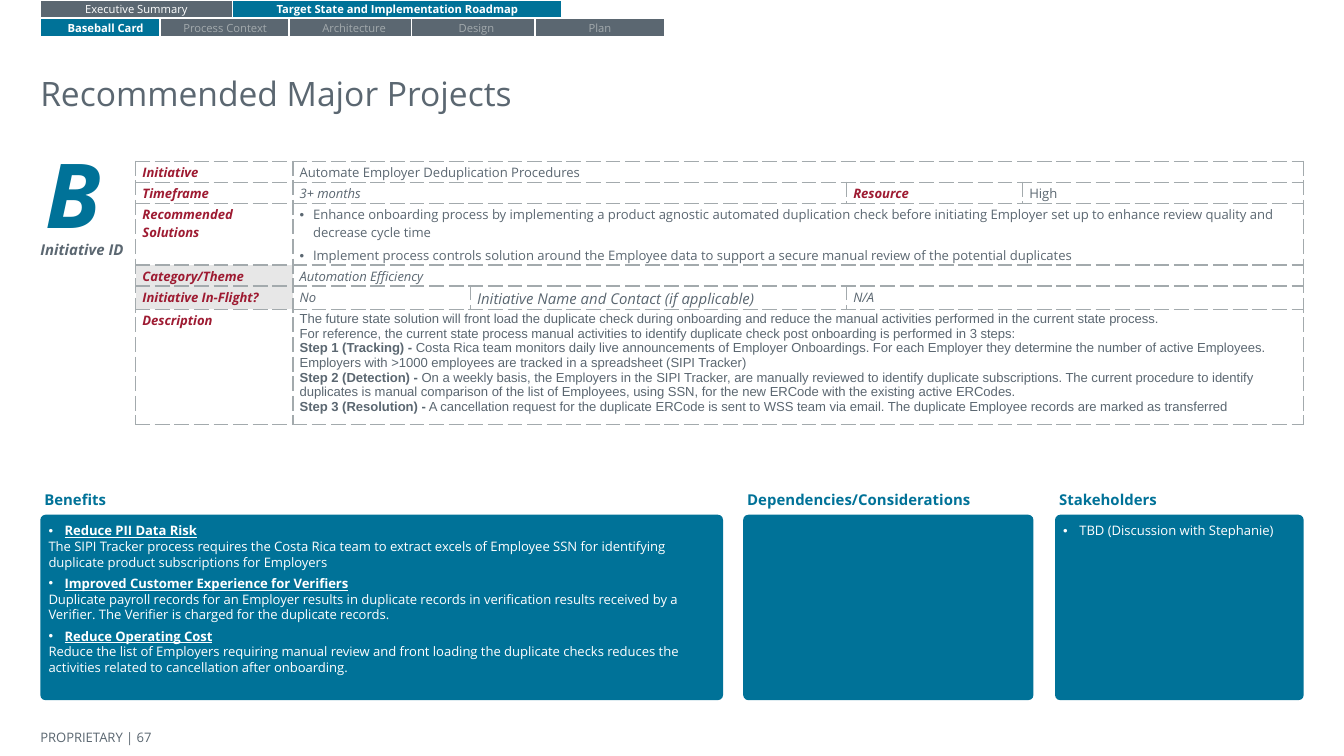
from pptx import Presentation
from pptx.dml.color import RGBColor
from pptx.enum.shapes import MSO_SHAPE
from pptx.enum.text import MSO_ANCHOR, PP_ALIGN
from pptx.oxml import parse_xml
from pptx.oxml.ns import nsdecls
from pptx.util import Inches, Pt

TOP, MID = MSO_ANCHOR.TOP, MSO_ANCHOR.MIDDLE
LEFT, CENTER = PP_ALIGN.LEFT, PP_ALIGN.CENTER
RECT, ROUND = MSO_SHAPE.RECTANGLE, MSO_SHAPE.ROUNDED_RECTANGLE
HEX = {"teal": "007298", "gray": "5B6771", "pale": "A3AAAD",
       "red": "9E1B32", "shade": "E7E7E7", "white": "FFFFFF"}

# Content: tabs are (text, left, width, state)
TABS = [
    (0, [("Executive Summary", 0.3, 1.43, "open"),
         ("Target State and Implementation Roadmap", 1.73, 2.45, "on")]),
    (0.14, [("Baseball Card", 0.3, 0.97, "on"),
            ("Process Context", 1.19, 0.97, "off"),
            ("Architecture", 2.15, 0.97, "off"),
            ("Design", 3.06, 0.97, "off"),
            ("Plan", 3.98, 0.97, "off")]),
]
STATES = {"on": ("teal", "white", True), "open": ("gray", "white", False),
          "off": ("gray", "pale", False)}

# Labels: text, left, top, width, height, size, color, bold, italic, anchor, inset
LABELS = [
    ("PROPRIETARY | 67", 0.3, 5.39, 1.38, 0.19, 7, "gray", False, False, MID, 0),
    ("Recommended Major Projects", 0.3, 0.54, 9.4, 0.5, 18, "gray", False, False, TOP, 0),
    ("B", 0.34, 1.03, 0.58, 0.81, 48, "teal", True, True, MID, 0),
    ("Initiative ID", 0.3, 1.76, 0.65, 0.19, 8, "gray", True, True, MID, 0),
]

# Table cells: column, span, style, paragraphs as (lead, text); rows grow to fit
COLS = [1.17, 1.32, 2.8, 1.31, 2.09]
ROWS = [
    (0.12, [(0, 1, "head", [("", "Initiative")]),
            (1, 4, "plain", [("", "Automate Employer Deduplication Procedures")])]),
    (0.12, [(0, 1, "head", [("", "Timeframe")]),
            (1, 2, "note", [("", "3+ months")]),
            (3, 1, "head", [("", "Resource")]),
            (4, 1, "plain", [("", "High")])]),
    (0.46, [(0, 1, "head", [("", "Recommended Solutions")]),
            (1, 4, "list", [
                ("", "Enhance onboarding process by implementing a product agnostic automated duplication check before initiating Employer set up to enhance review quality and decrease cycle time"),
                ("", "Implement process controls solution around the Employee data to support a secure manual review of the potential duplicates")])]),
    (0.12, [(0, 1, "theme", [("", "Category/Theme")]),
            (1, 4, "note", [("", "Automation Efficiency")])]),
    (0.12, [(0, 1, "theme", [("", "Initiative In-Flight?")]),
            (1, 1, "note", [("", "No")]),
            (2, 1, "ask", [("", "Initiative Name and Contact (if applicable)")]),
            (3, 2, "note", [("", "N/A")])]),
    (0.6, [(0, 1, "head", [("", "Description")]),
           (1, 4, "body", [
               ("", "The future state solution will front load the duplicate check during onboarding and reduce the manual activities performed in the current state process."),
               ("", "For reference, the current state process manual activities to identify duplicate check post onboarding is performed in 3 steps:"),
               ("Step 1 (Tracking) -", " Costa Rica team monitors daily live announcements of Employer Onboardings. For each Employer they determine the number of active Employees. Employers with >1000 employees are tracked in a spreadsheet (SIPI Tracker)"),
               ("Step 2 (Detection) -", " On a weekly basis, the Employers in the SIPI Tracker, are manually reviewed to identify duplicate subscriptions. The current procedure to identify duplicates is manual comparison of the list of Employees, using SSN, for the new ERCode with the existing active ERCodes."),
               ("Step 3 (Resolution) -", " A cancellation request for the duplicate ERCode is sent to WSS team via email. The duplicate Employee records are marked as transferred")])]),
]
# Cell styles: size, color, bold, italic, face, fill
STYLES = {
    "head": (7, "red", True, True, "Open Sans", "white"),
    "theme": (7, "red", True, True, "Open Sans", "shade"),
    "plain": (7, "gray", False, False, "Open Sans", "white"),
    "list": (7, "gray", False, False, "Open Sans", "white"),
    "note": (7, "gray", False, True, "Open Sans", "white"),
    "ask": (8, "gray", False, True, "Open Sans", "white"),
    "body": (7, "gray", False, False, "Arial", "white"),
}

# Cards: title, left, width, points as (kind, text)
CARDS = [
    ("Benefits", 0.3, 5.08, [
        ("topic", "Reduce PII Data Risk"),
        ("text", "The SIPI Tracker process requires the Costa Rica team to extract excels of Employee SSN for identifying duplicate product subscriptions for Employers"),
        ("topic", "Improved Customer Experience for Verifiers"),
        ("text", "Duplicate payroll records for an Employer results in duplicate records in verification results received by a Verifier. The Verifier is charged for the duplicate records."),
        ("topic", "Reduce Operating Cost"),
        ("text", "Reduce the list of Employers requiring manual review and front loading the duplicate checks reduces the activities related to cancellation after onboarding.")]),
    ("Dependencies/Considerations", 5.53, 2.16, []),
    ("Stakeholders", 7.85, 1.85, [("item", "TBD (Discussion with Stephanie)")]),
]


def rgb(name):
    return RGBColor.from_string(HEX[name])


def style(para, size, color, bold=False, italic=False, face="Open Sans"):
    font = para.font
    font.size, font.name = Pt(size), face
    font.bold, font.italic = bold, italic
    font.color.rgb = rgb(color)


def bullet(para, color, indent, hang):
    props = para._p.get_or_add_pPr()
    props.set("marL", str(Inches(indent)))
    props.set("indent", str(-Inches(hang)))
    ns = nsdecls("a")
    props.append(parse_xml(f'<a:buClr {ns}><a:srgbClr val="{HEX[color]}"/></a:buClr>'))
    props.append(parse_xml(f'<a:buFont {ns} typeface="Arial"/>'))
    props.append(parse_xml(f'<a:buChar {ns} char="•"/>'))


def setup(frame, anchor, left, rest):
    frame.word_wrap = True
    frame.vertical_anchor = anchor
    frame.margin_left = Inches(left)
    frame.margin_right = frame.margin_top = frame.margin_bottom = Inches(rest)


def paras(frame, items):
    for i, item in enumerate(items):
        yield i, frame.add_paragraph() if i else frame.paragraphs[0], item


def label(text, x, y, w, h, size, color, bold, italic, anchor, inset):
    frame = slide.shapes.add_textbox(Inches(x), Inches(y), Inches(w), Inches(h)).text_frame
    setup(frame, anchor, inset, 0)
    para = frame.paragraphs[0]
    para.text = text
    style(para, size, color, bold, italic)


def block(kind, x, y, w, h, fill):
    shape = slide.shapes.add_shape(kind, Inches(x), Inches(y), Inches(w), Inches(h))
    shape.shadow.inherit = False
    shape.fill.solid()
    shape.fill.fore_color.rgb = rgb(fill)
    shape.line.fill.background()
    return shape


def border(cell):
    props = cell._tc.get_or_add_tcPr()
    for side in ("lnL", "lnR", "lnT", "lnB"):
        props.append(parse_xml(
            f'<a:{side} {nsdecls("a")} w="{Pt(0.75)}"><a:solidFill><a:srgbClr val="{HEX["pale"]}"/>'
            f'</a:solidFill><a:prstDash val="dash"/></a:{side}>'))


# Widescreen page, 16 to 9
deck = Presentation()
deck.slide_width = Inches(10)
deck.slide_height = deck.slide_width * 9 // 16
slide = deck.slides.add_slide(deck.slide_layouts[6])

# Title, footer and initiative letter
for item in LABELS:
    label(*item)

# Initiative table
grid = slide.shapes.add_table(len(ROWS), len(COLS), Inches(1.01), Inches(1.2),
                              Inches(sum(COLS)), Inches(sum(r[0] for r in ROWS))).table
for col, width in zip(grid.columns, COLS):
    col.width = Inches(width)
for r, (height, cells) in enumerate(ROWS):
    grid.rows[r].height = Inches(height)
    for cell in grid.rows[r].cells:
        border(cell)
    for c, span, kind, lines in cells:
        cell = grid.cell(r, c)
        if span > 1:
            cell.merge(grid.cell(r, c + span - 1))
        *look, fill = STYLES[kind]
        cell.fill.solid()
        cell.fill.fore_color.rgb = rgb(fill)
        cell.margin_left = cell.margin_right = Inches(0.05)
        cell.margin_top = cell.margin_bottom = Inches(0.02)
        for i, para, (lead, text) in paras(cell.text_frame, lines):
            if kind == "list":
                bullet(para, "gray", 0.1, 0.1)
                para.space_before = para.space_after = Pt(3 if i else 0)
            if lead:
                run = para.add_run()
                run.text = lead
                run.font.bold = True
            para.add_run().text = text
            style(para, *look)

# Cards with their headings
for title, x, w, points in CARDS:
    label(title, x, 3.65, min(w, 2.2), 0.13, 8, "teal", True, False, MID, 0.03)
    card = block(ROUND, x, 3.83, w, 1.38, "teal")
    card.adjustments[0] = 0.028
    setup(card.text_frame, TOP, 0.05, 0.05)
    for i, para, (kind, text) in paras(card.text_frame, points):
        para.text = text
        para.alignment = LEFT
        if kind != "text":
            bullet(para, "white", 0.12, 0.13)
            para.space_before = Pt(3 if i else 0)
        style(para, 7, "white", kind == "topic")
        para.font.underline = kind == "topic"

# Navigation tabs
for y, tabs in TABS:
    for text, x, w, state in tabs:
        fill, color, bold = STATES[state]
        tab = block(RECT, x, y, w, 0.13, fill)
        tab.line.color.rgb = rgb("white")
        tab.line.width = Pt(0.75)
        setup(tab.text_frame, MID, 0.03, 0.03)
        para = tab.text_frame.paragraphs[0]
        para.text = text
        para.alignment = CENTER
        style(para, 6, color, bold)

deck.save("out.pptx")
